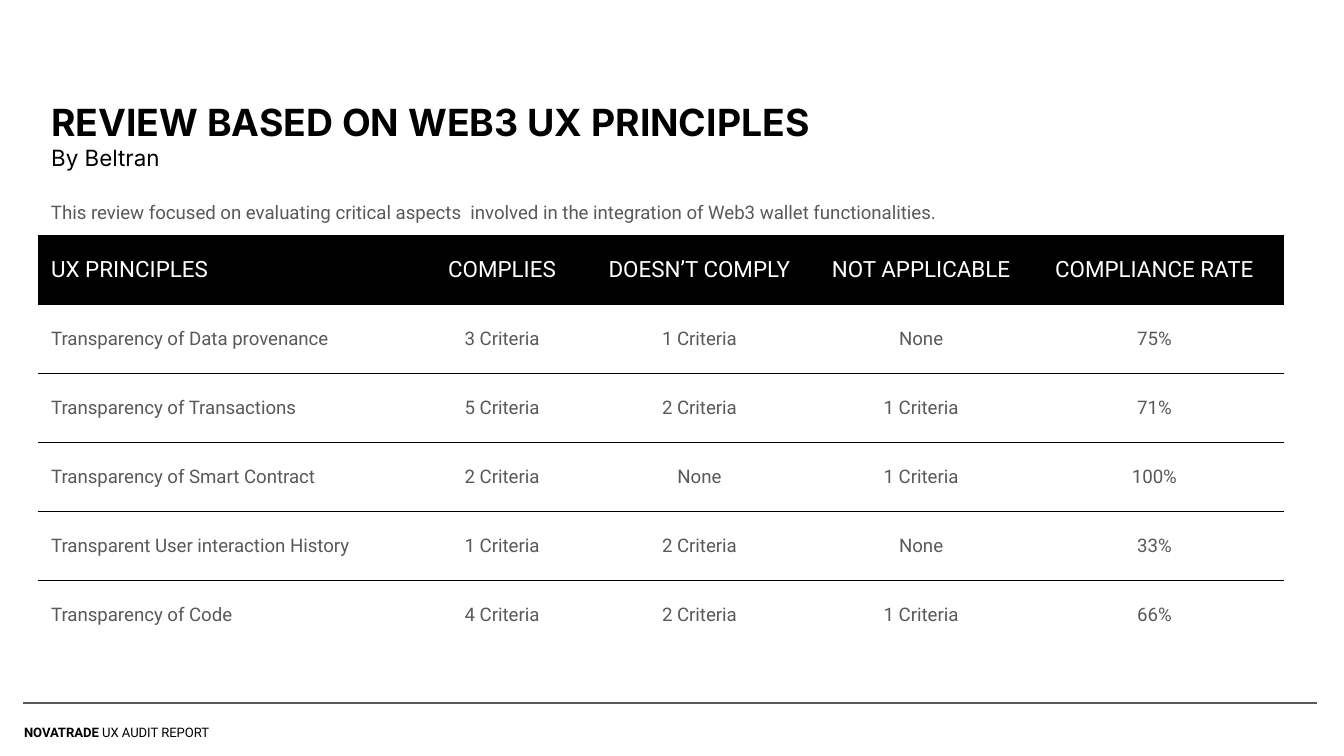
from dataclasses import astuple, dataclass

from lxml import etree
from pptx import Presentation
from pptx import util as u
from pptx.dml.color import RGBColor
from pptx.enum import shapes, text
from pptx.oxml.ns import qn

BLACK, WHITE, GREY = "000000", "FFFFFF", "595959"
NO_STYLE_NO_GRID = "{2D5ABB26-0587-4C30-8999-92F81FD0307C}"
LEFT = 20.2
INSET = 7.2
ROW_HEIGHT = 37
COLUMN_WIDTHS = (206, 85.5, 126, 111.5, 138.5)


@dataclass
class Principle:
    name: str
    complies: str
    fails: str
    not_applicable: str
    rate: str


HEADER = Principle("UX PRINCIPLES", "COMPLIES", "DOESN’T COMPLY",
                   "NOT APPLICABLE", "COMPLIANCE RATE")
PRINCIPLES = [
    Principle("Transparency of Data provenance", "3 Criteria", "1 Criteria", "None", "75%"),
    Principle("Transparency of Transactions", "5 Criteria", "2 Criteria", "1 Criteria", "71%"),
    Principle("Transparency of Smart Contract", "2 Criteria", "None", "1 Criteria", "100%"),
    Principle("Transparent User interaction History", "1 Criteria", "2 Criteria", "None", "33%"),
    Principle("Transparency of Code", "4 Criteria", "2 Criteria", "1 Criteria", "66%"),
]


def rgb(value: str) -> RGBColor:
    return RGBColor.from_string(value)


def write(p, content: str, size: float = 10, color: str = GREY, font: str = "Roboto",
          bold: bool = False, align=text.PP_ALIGN.LEFT, spacing: float = 1.0) -> None:
    """Append one formatted run to a paragraph."""
    p.alignment = align
    p.line_spacing = spacing
    r = p.add_run()
    r.text = content
    r.font.size, r.font.name, r.font.bold = u.Pt(size), font, bold
    r.font.color.rgb = rgb(color)


def set_frame(sp, left: float, top: float, width: float, height: float):
    """Place a text shape and return its top-anchored, wrapping text frame."""
    sp.left, sp.top, sp.width, sp.height = map(u.Pt, (left, top, width, height))
    tf = sp.text_frame
    tf.word_wrap = True
    tf.auto_size = text.MSO_AUTO_SIZE.NONE
    tf.vertical_anchor = text.MSO_ANCHOR.TOP
    tf.margin_left = tf.margin_right = tf.margin_top = tf.margin_bottom = u.Pt(INSET)
    return tf


def add_text_box(s, left: float, top: float, width: float, height: float):
    return set_frame(s.shapes.add_textbox(0, 0, 0, 0), left, top, width, height)


def add_rule(s, x1: float, x2: float, y: float) -> None:
    line = s.shapes.add_connector(shapes.MSO_CONNECTOR.STRAIGHT,
                                  u.Pt(x1), u.Pt(y), u.Pt(x2), u.Pt(y))
    line.line.color.rgb = rgb(GREY)
    line.line.width = u.Pt(0.75)
    etree.SubElement(line._element.spPr, qn("a:effectLst"))


def set_bottom_border(cell, color: str, width: float) -> None:
    border = etree.Element(qn("a:lnB"), w=str(u.Pt(width)))
    fill = etree.SubElement(border, qn("a:solidFill"))
    etree.SubElement(fill, qn("a:srgbClr"), val=color)
    cell._tc.get_or_add_tcPr().insert(0, border)


def fill_cell(cell, content: str, is_header: bool, is_first: bool) -> None:
    cell.vertical_anchor = text.MSO_ANCHOR.MIDDLE
    cell.margin_left = cell.margin_right = u.Pt(INSET if is_header or is_first else 0)
    cell.margin_top = cell.margin_bottom = u.Pt(5 if is_header else 0)
    if is_header:
        cell.fill.solid()
        cell.fill.fore_color.rgb = rgb(BLACK)
    else:
        cell.fill.background()
    write(cell.text_frame.paragraphs[0], content,
          size=12 if is_header else 10, color=WHITE if is_header else GREY,
          align=text.PP_ALIGN.LEFT if is_first else text.PP_ALIGN.CENTER)


def add_principles_table(s, rows: list[Principle], top: float) -> None:
    frame = s.shapes.add_table(len(rows), len(COLUMN_WIDTHS), u.Pt(LEFT), u.Pt(top),
                               u.Pt(sum(COLUMN_WIDTHS)), u.Pt(ROW_HEIGHT * len(rows)))
    table = frame.table
    table.horz_banding = False
    table._tbl.tblPr.find(qn("a:tableStyleId")).text = NO_STYLE_NO_GRID
    for column, width in zip(table.columns, COLUMN_WIDTHS):
        column.width = u.Pt(width)
    for i, row in enumerate(rows):
        table.rows[i].height = u.Pt(ROW_HEIGHT)
        for j, content in enumerate(astuple(row)):
            cell = table.cell(i, j)
            fill_cell(cell, content, is_header=i == 0, is_first=j == 0)
            if i < len(rows) - 1:
                set_bottom_border(cell, BLACK, 0.75)


def main() -> None:
    prs = Presentation()
    prs.slide_width, prs.slide_height = u.Pt(720), u.Pt(405)
    s = prs.slides.add_slide(prs.slide_layouts[5])

    footer = add_text_box(s, 5.8, 376.5, 149, 23)
    p = footer.paragraphs[0]
    write(p, "NOVATRADE", size=7, color=BLACK, bold=True, spacing=1.5)
    write(p, " UX AUDIT REPORT", size=7, color=BLACK, spacing=1.5)
    add_rule(s, 12.4, 705.6, 376.6)

    title = set_frame(s.shapes.title, LEFT, 46, 650, 53.3)
    write(title.paragraphs[0], "REVIEW BASED ON WEB3 UX PRINCIPLES",
          size=20, color=BLACK, font="Inter", bold=True)
    write(title.add_paragraph(), "By Beltran", size=12, color=BLACK, font="Inter")

    add_principles_table(s, [HEADER, *PRINCIPLES], top=126)

    intro = add_text_box(s, LEFT, 94.3, 656.6, 26.6)
    write(intro.paragraphs[0],
          "This review focused on evaluating critical aspects  involved in the "
          "integration of Web3 wallet functionalities.", spacing=1.5)

    prs.save("out.pptx")


if __name__ == "__main__":
    main()
